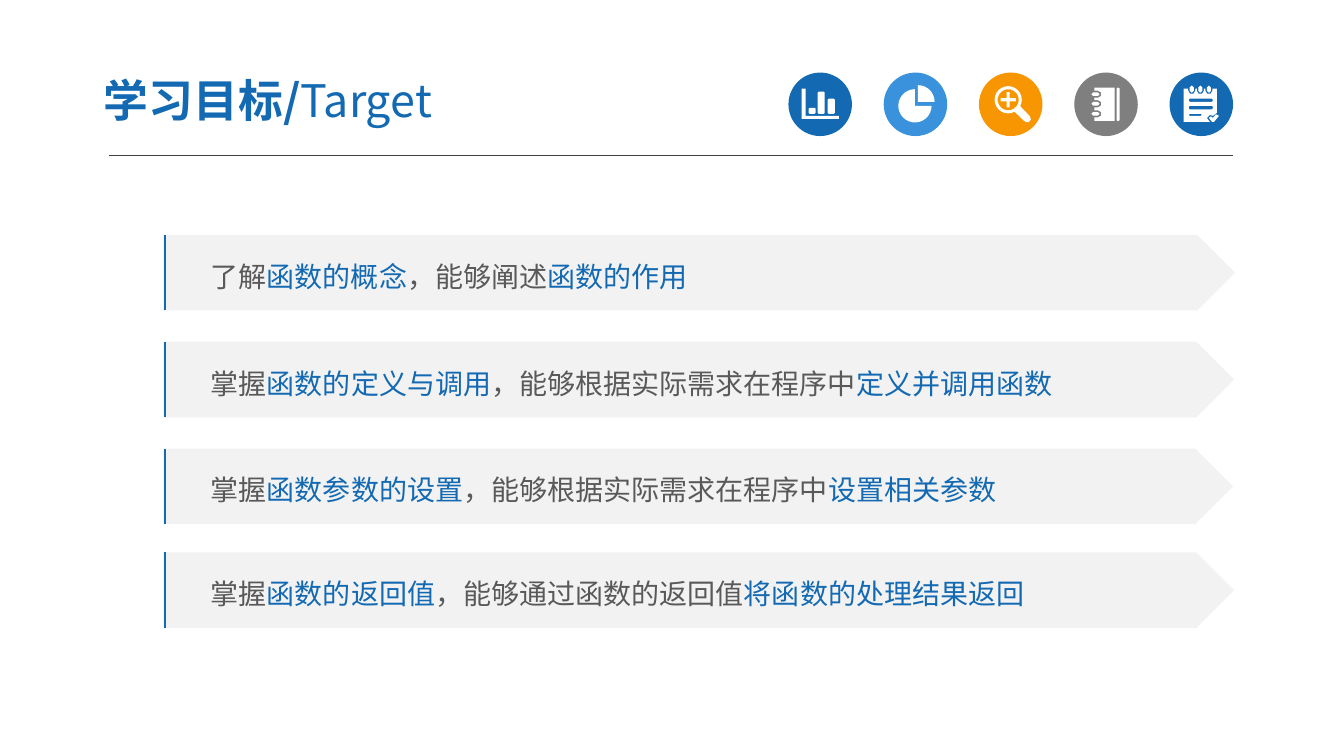
"""Build the learning-objectives slide with its icon header."""
from dataclasses import dataclass
from math import cos, radians, sin

from lxml.etree import SubElement
from pptx import Presentation
from pptx.dml.color import RGBColor
from pptx.enum.shapes import MSO_CONNECTOR, MSO_SHAPE
from pptx.enum.text import MSO_ANCHOR, PP_ALIGN
from pptx.oxml.ns import qn
from pptx.shapes.autoshape import Shape
from pptx.slide import Slide
from pptx.text.text import _Paragraph
from pptx.util import Inches, Pt

Point = tuple[float, float]
Contour = list[Point]


@dataclass(frozen=True)
class Theme:
    """Colours, typeface and type sizes."""
    blue: str = "1369B2"
    sky: str = "3992DB"
    orange: str = "F79600"
    grey: str = "7F7F7F"
    white: str = "FFFFFF"
    band: str = "F2F2F2"
    body: str = "595959"
    rule: str = "404040"
    typeface: str = "Noto Sans CJK SC"
    title_size: int = 32
    body_size: int = 20


@dataclass(frozen=True)
class Icon:
    """A badge colour and its outlines in hundredths of an inch."""
    colour: str
    contours: list[Contour]


@dataclass(frozen=True)
class Objective:
    """A band's top and width, with plain and highlighted phrases in turn."""
    top: float
    width: float
    phrases: tuple[str, ...]


THEME = Theme()
BADGE_LEFT, BADGE_TOP, BADGE_SIZE, BADGE_PITCH = 7.82, 0.72, 0.63, 0.945
BAND_LEFT, BAND_HEIGHT, EDGE_X = 1.62, 0.75, 1.64


def arc(x: float, y: float, radius: float, start: int, end: int) -> Contour:
    """Return points along an arc, clockwise from the right."""
    steps = max(1, round(radius * abs(end - start) / 200))
    angles = [radians(start + (end - start) * i / steps) for i in range(steps + 1)]
    return [(x + radius * cos(a), y + radius * sin(a)) for a in angles]


def bar(x: float, y: float, width: float, height: float, radius: float = 1) -> Contour:
    """Return a rectangle with softened corners."""
    left, right, top, bottom = x + radius, x + width - radius, y + radius, y + height - radius
    return (arc(right, top, radius, -90, 0) + arc(right, bottom, radius, 0, 90)
            + arc(left, bottom, radius, 90, 180) + arc(left, top, radius, 180, 270))


def plus(x: float, y: float, reach: float, half: float) -> Contour:
    """Return a plus sign around a centre."""
    return [(x - half, y - reach), (x + half, y - reach), (x + half, y - half),
            (x + reach, y - half), (x + reach, y + half), (x + half, y + half),
            (x + half, y + reach), (x - half, y + reach), (x - half, y + half),
            (x - reach, y + half), (x - reach, y - half), (x - half, y - half)]


def bar_chart() -> list[Contour]:
    """Return the axes and three bars."""
    axes = [(13, 16), (17, 16), (17, 43), (50, 43), (50, 46), (13, 46)]
    return [axes, bar(20, 35, 7, 6), bar(29, 19, 7, 22), bar(39, 26, 7, 15)]


def pie_chart() -> list[Contour]:
    """Return a pie with its upper right slice moved out."""
    return [[(34, 29)] + arc(34, 29, 16.5, -90, 0), [(31, 33)] + arc(31, 33, 16.5, 0, 270)]


def magnifier() -> list[Contour]:
    """Return a lens with a handle and a plus."""
    outline = arc(29, 27, 13.5, 62, 388) + arc(48, 46, 3.6, -45, 135)
    return [outline, arc(29, 27, 10.5, 0, 360), plus(29, 27, 7.5, 1.5)]


def notebook() -> list[Contour]:
    """Return a ring-bound notebook."""
    rings = (21.5, 31, 41)
    page: Contour = [(20, 15)]
    for y in rings:
        page += [(20, y - 3.5)] + arc(23.5, y, 3.5, -90, 90) + [(20, y + 3.5)]
    page += [(20, 48), (40, 48), (40, 15)]
    return [page, bar(42, 15, 3, 33)] + [bar(17, y - 1.8, 8, 3.6, 1.7) for y in rings]


def notepad() -> list[Contour]:
    """Return a checked notepad."""
    rings = (22, 30.5, 39)
    page: Contour = [(14, 16)]
    for x in rings:
        page += [(x - 3.5, 16)] + arc(x, 18, 3.5, 180, 0) + [(x + 3.5, 16)]
    page += [(47, 16), (47, 40), (43, 43), (40, 42), (37, 45), (40, 49), (14, 49)]
    check = [(39, 45), (41, 43.5), (43, 45), (46, 41.5), (49, 43), (44, 49), (42, 49)]
    lines = [bar(19, 26, 24, 3), bar(19, 33, 24, 3.5), bar(19, 41, 13, 2)]
    return [page, check] + lines + [bar(x - 2, 13, 4, 7, 1.8) for x in rings]


ICONS = (
    Icon(THEME.blue, bar_chart()),
    Icon(THEME.sky, pie_chart()),
    Icon(THEME.orange, magnifier()),
    Icon(THEME.grey, notebook()),
    Icon(THEME.blue, notepad()),
)
OBJECTIVES = (
    Objective(2.33, 10.63, ("了解", "函数的概念", "，能够阐述", "函数的作用")),
    Objective(3.39, 10.62, ("掌握", "函数的定义与调用", "，能够根据实际需求在程序中", "定义并调用函数")),
    Objective(4.45, 10.61, ("掌握", "函数参数的设置", "，能够根据实际需求在程序中", "设置相关参数")),
    Objective(5.48, 10.62, ("掌握", "函数的返回值", "，能够通过函数的返回值", "将函数的处理结果返回")),
)


def paint(shape: Shape, colour: str) -> None:
    """Give a shape a flat fill without outline or shadow."""
    shape.fill.solid()
    shape.fill.fore_color.rgb = RGBColor.from_string(colour)
    shape.line.fill.background()
    shape.shadow.inherit = False


def set_type(paragraph: _Paragraph, size: int) -> None:
    """Set the typeface and size of a left-aligned paragraph."""
    paragraph.alignment = PP_ALIGN.LEFT
    paragraph.font.size = Pt(size)
    paragraph.font.name = THEME.typeface
    defaults = paragraph._p.pPr.find(qn("a:defRPr"))
    SubElement(defaults, qn("a:ea")).set("typeface", THEME.typeface)


def draw_header_rule(slide: Slide) -> None:
    """Draw the line under the header."""
    rule = slide.shapes.add_connector(
        MSO_CONNECTOR.STRAIGHT, *map(Inches, (1.08, 1.54, 12.23, 1.54)))
    rule.line.color.rgb = RGBColor.from_string(THEME.rule)
    rule.line.width = Pt(0.75)
    SubElement(rule._element.spPr, qn("a:effectLst"))


def draw_icon(slide: Slide, icon: Icon, left: float) -> None:
    """Draw a round badge with its white symbol."""
    badge = slide.shapes.add_shape(
        MSO_SHAPE.OVAL, *map(Inches, (left, BADGE_TOP, BADGE_SIZE, BADGE_SIZE)))
    paint(badge, icon.colour)
    first, *others = [[(Inches(left + x / 100), Inches(BADGE_TOP + y / 100)) for x, y in contour]
                      for contour in icon.contours]
    builder = slide.shapes.build_freeform(*first[0])
    builder.add_line_segments(first[1:], close=True)
    for outline in others:
        builder.move_to(*outline[0])
        builder.add_line_segments(outline[1:], close=True)
    paint(builder.convert_to_shape(), THEME.white)


def draw_title(slide: Slide) -> None:
    """Draw the slide title."""
    title = slide.shapes.add_textbox(*map(Inches, (0.9, 0.63, 5.22, 0.72))).text_frame
    title.word_wrap = True
    title.vertical_anchor = MSO_ANCHOR.MIDDLE
    title.margin_left = title.margin_right = Inches(0.13)
    title.margin_top = title.margin_bottom = Inches(0.07)
    heading = title.paragraphs[0]
    set_type(heading, THEME.title_size)
    heading.font.color.rgb = RGBColor.from_string(THEME.blue)
    for phrase, bold in (("学习目标/", True), ("Target", False)):
        run = heading.add_run()
        run.text = phrase
        run.font.bold = bold


def draw_objective(slide: Slide, objective: Objective) -> None:
    """Draw an arrow band with its text and left edge."""
    top = objective.top
    band = slide.shapes.add_shape(
        MSO_SHAPE.PENTAGON, *map(Inches, (BAND_LEFT, top, objective.width, BAND_HEIGHT)))
    paint(band, THEME.band)
    band.text_frame.word_wrap = True
    band.text_frame.vertical_anchor = MSO_ANCHOR.MIDDLE
    band.text_frame.margin_left = Inches(0.47)
    sentence = band.text_frame.paragraphs[0]
    sentence.line_spacing = 1.2
    set_type(sentence, THEME.body_size)
    for index, phrase in enumerate(objective.phrases):
        run = sentence.add_run()
        run.text = phrase
        run.font.color.rgb = RGBColor.from_string(THEME.blue if index % 2 else THEME.body)
    builder = slide.shapes.build_freeform(Inches(EDGE_X), Inches(top + BAND_HEIGHT))
    builder.add_line_segments([(Inches(EDGE_X), Inches(top))], close=False)
    edge = builder.convert_to_shape()
    edge.fill.background()
    edge.line.color.rgb = RGBColor.from_string(THEME.blue)
    edge.line.width = Pt(1.5)
    edge.shadow.inherit = False


def main() -> None:
    """Build and save the presentation."""
    deck = Presentation()
    deck.slide_width, deck.slide_height = Inches(13.33), Inches(7.5)
    slide = deck.slides.add_slide(deck.slide_layouts[6])
    draw_header_rule(slide)
    for index, icon in enumerate(ICONS):
        draw_icon(slide, icon, BADGE_LEFT + index * BADGE_PITCH)
    draw_title(slide)
    for objective in OBJECTIVES:
        draw_objective(slide, objective)
    deck.save("out.pptx")


if __name__ == "__main__":
    main()
